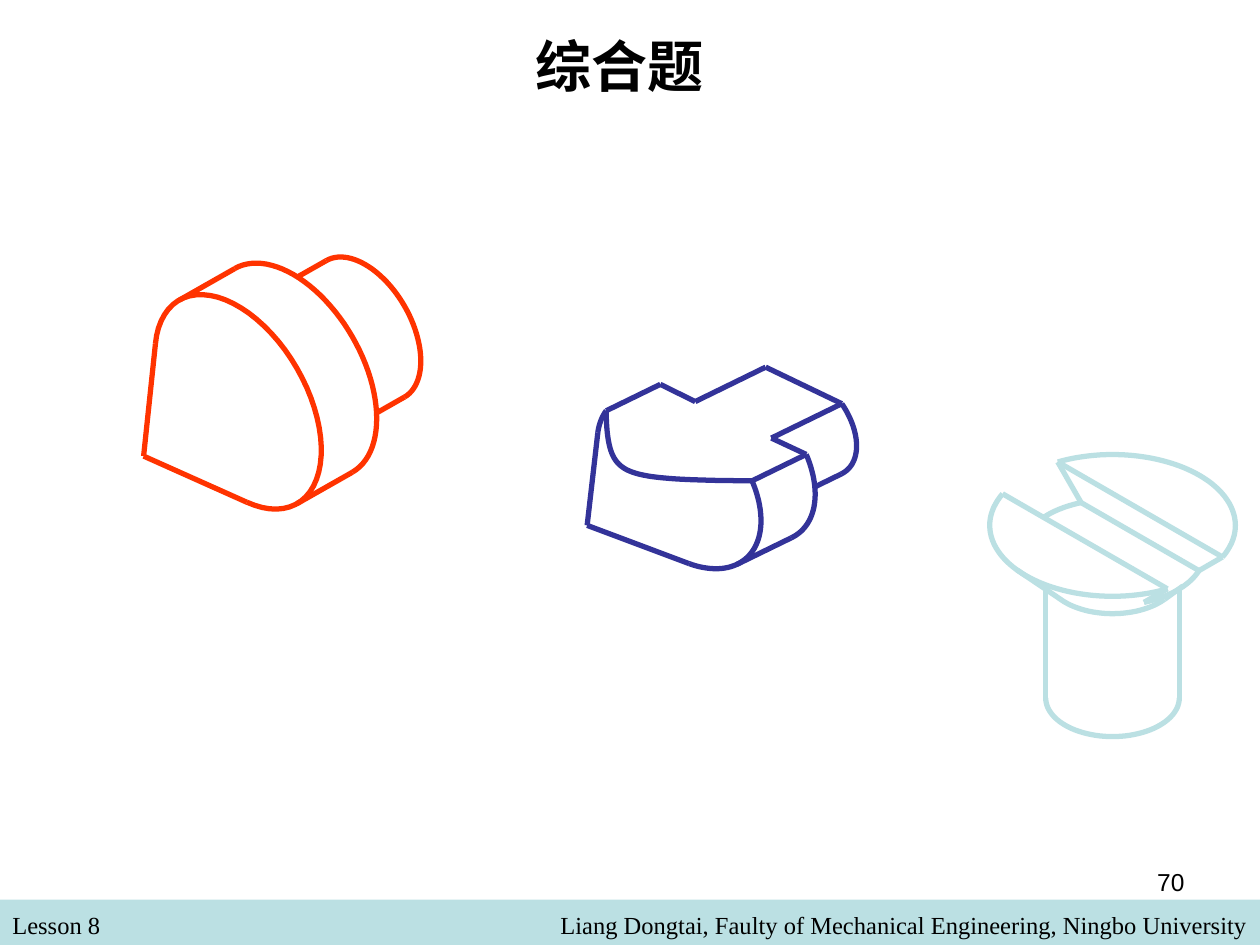
from dataclasses import dataclass
from itertools import pairwise
from math import cos, radians, sin

from pptx import Presentation
from pptx.dml.color import RGBColor
from pptx.enum.shapes import MSO_CONNECTOR, MSO_SHAPE
from pptx.enum.text import MSO_ANCHOR, MSO_AUTO_SIZE, PP_ALIGN
from pptx.oxml.ns import qn
from pptx.util import Inches, Pt

BLACK, TEAL, RED, NAVY = "000000", "BBE0E3", "FF3300", "333399"
SERIF = "Times New Roman"
STEPS = 48                   # segments in each curve
TANGENT = 45                 # angle where a cylinder's side edge touches its rim
OPPOSITE = TANGENT - 180


@dataclass(frozen=True)
class Point:
    x: float
    y: float

    def __add__(self, other: "Point") -> "Point":
        return Point(self.x + other.x, self.y + other.y)

    def __mul__(self, k: float) -> "Point":
        return Point(self.x * k, self.y * k)


@dataclass(frozen=True)
class Rim:
    """A circle seen obliquely: u and v are its projected radii, in inches."""
    center: Point
    u: Point
    v: Point

    def at(self, angle: float) -> Point:
        t = radians(angle)
        return self.center + self.u * cos(t) + self.v * sin(t)

    def arc(self, start: float, end: float) -> list[Point]:
        return [self.at(start + (end - start) * i / STEPS) for i in range(STEPS + 1)]


def upright_rim(center: Point, width: float, height: float, slope: float) -> Rim:
    return Rim(center, Point(width, width * slope), Point(0, height))


def flat_rim(center: Point, radius: float) -> Rim:
    """A level isometric circle, whose height is tan 30° of its width."""
    return Rim(center, Point(radius, 0), Point(0, radius * 0.577))


def conic(start: Point, control: Point, end: Point, weight: float) -> list[Point]:
    """Rational quadratic curve; a weight above 1 gives a hyperbola."""
    points = []
    for i in range(STEPS + 1):
        t = i / STEPS
        a, b, c = (1 - t) ** 2, 2 * weight * t * (1 - t), t ** 2
        points.append((start * a + control * b + end * c) * (1 / (a + b + c)))
    return points


def rgb(color: str) -> RGBColor:
    return RGBColor.from_string(color)


def write(sp, text: str, *, size: float = 14, font: str = "Arial", color: str = BLACK,
          bold: bool = False, align=PP_ALIGN.LEFT, anchor=MSO_ANCHOR.TOP) -> None:
    tf = sp.text_frame
    tf.word_wrap = True
    tf.auto_size = MSO_AUTO_SIZE.NONE
    tf.vertical_anchor = anchor
    p = tf.paragraphs[0]
    p.alignment = align
    r = p.add_run()
    r.text = text
    r.font.size, r.font.name, r.font.bold = Pt(size), font, bold
    r.font.color.rgb = rgb(color)


def add_text(s, box: tuple[float, float, float, float], text: str, **fmt) -> None:
    write(s.shapes.add_textbox(*map(Inches, box)), text, **fmt)


def style_line(sp, color: str) -> None:
    sp.line.color.rgb = rgb(color)
    sp.line.width = Pt(3)


def draw_curve(s, points: list[Point], color: str) -> None:
    start, *rest = [(Inches(p.x), Inches(p.y)) for p in points]
    builder = s.shapes.build_freeform(*start)
    builder.add_line_segments(rest, close=False)
    sp = builder.convert_to_shape()
    sp.shadow.inherit = False
    sp.fill.background()
    style_line(sp, color)


def draw_edges(s, color: str, *corners: Point) -> None:
    """Join the corners in turn with straight connectors."""
    for a, b in pairwise(corners):
        sp = s.shapes.add_connector(MSO_CONNECTOR.STRAIGHT, *map(Inches, (a.x, a.y, b.x, b.y)))
        style_line(sp, color)
        sp._element.spPr.append(sp._element.makeelement(qn("a:effectLst"), {}))


def draw_stepped_cylinder(s) -> None:
    """A pointed cylinder with a thinner one behind it."""
    depth, tip = Point(0.44, -0.25), Point(1.14, 3.62)
    tip_right, tip_left = 84, -174   # where the lines from the tip meet the rim
    slope, width, height = 0.58, 0.66, 0.76
    center = Point(1.89, 3.19)
    front = upright_rim(center, width, height, slope)
    middle = upright_rim(center + depth, width, height, slope)
    back = upright_rim(Point(2.9, 2.61), 0.44, 0.51, slope)

    draw_curve(s, front.arc(tip_right, tip_left), RED)
    for rim in (middle, back):
        draw_curve(s, rim.arc(TANGENT, OPPOSITE), RED)
    for angle in (TANGENT, OPPOSITE):
        draw_edges(s, RED, front.at(angle), middle.at(angle))
        draw_edges(s, RED, back.at(angle), back.at(angle) + depth * -0.5)
    draw_edges(s, RED, front.at(tip_left), tip, front.at(tip_right))


def draw_cut_cylinder(s) -> None:
    """The same kind of solid with its top sliced off flat."""
    depth, tip = Point(0.43, -0.21), Point(4.66, 4.17)
    tip_right, tip_left = 83, -173
    cut, back_cut = -27, -44         # where the flat top meets each rim
    slope, width, height = 0.48, 0.65, 0.62
    center = Point(5.39, 3.82)
    front = upright_rim(center, width, height, slope)
    middle = upright_rim(center + depth, width, height, slope)
    back = upright_rim(center + depth * 2.3, 0.42, 0.4, slope)
    left, right = front.at(-180 - cut), front.at(cut)
    back_left, back_right = back.at(-180 - back_cut), back.at(back_cut)
    to_step = depth * -1.3

    draw_curve(s, front.arc(tip_right, cut), NAVY)
    draw_curve(s, front.arc(tip_left, -180 - cut), NAVY)
    draw_curve(s, middle.arc(TANGENT, cut), NAVY)
    draw_curve(s, back.arc(TANGENT, back_cut), NAVY)
    draw_curve(s, conic(left, Point(4.82, 3.81), right, weight=2.5), NAVY)
    draw_edges(s, NAVY, left, middle.at(-180 - cut), back_left + to_step, back_left,
               back_right, back_right + to_step, middle.at(cut), right)
    draw_edges(s, NAVY, front.at(TANGENT), middle.at(TANGENT))
    draw_edges(s, NAVY, back.at(TANGENT), back.at(TANGENT) + depth * -0.5)
    draw_edges(s, NAVY, front.at(tip_left), tip, front.at(tip_right))


def draw_slotted_screw(s) -> None:
    """A countersunk head with a slot, on a round shaft."""
    axis, shaft_radius, shaft_top = 8.83, 0.53, 4.67
    head = flat_rim(Point(axis, 4.17), 0.975)
    slot_floor = flat_rim(Point(axis, 4.385), 0.73)
    neck = flat_rim(Point(axis, 4.565), shaft_radius)
    shaft_end = flat_rim(Point(axis, 5.54), shaft_radius)
    top_half, floor_half = 18.5, 25  # half-angles of the slot mouth on each rim
    top_near, top_far = TANGENT + top_half, TANGENT - top_half
    floor_near, floor_far = TANGENT + floor_half, TANGENT - floor_half
    top_back, floor_back = OPPOSITE + top_half, OPPOSITE + floor_half
    cone_right, cone_left = 39, 141

    for rim, start, end in (
        (head, top_far, top_back),
        (head, top_near, 360 + OPPOSITE - top_half),
        (slot_floor, floor_near, floor_far),
        (slot_floor, floor_back, -138),
        (neck, cone_right, cone_left),
        (shaft_end, 0, 180),
    ):
        draw_curve(s, rim.arc(start, end), TEAL)

    draw_edges(s, TEAL, head.at(OPPOSITE - top_half), head.at(top_near), slot_floor.at(floor_near))
    draw_edges(s, TEAL, head.at(top_back), head.at(top_far), slot_floor.at(floor_far),
               slot_floor.at(floor_back), head.at(top_back))
    draw_edges(s, TEAL, head.at(cone_left), neck.at(cone_left))
    draw_edges(s, TEAL, neck.at(cone_right), Point(9.39, 4.65))
    for side in (0, 180):
        corner = shaft_end.at(side)
        draw_edges(s, TEAL, Point(corner.x, shaft_top), corner)


def add_footer(s) -> None:
    bar = s.shapes.add_shape(MSO_SHAPE.RECTANGLE, *map(Inches, (0, 7.14, 10, 0.36)))
    bar.shadow.inherit = False
    bar.fill.solid()
    bar.fill.fore_color.rgb = rgb(TEAL)
    bar.line.fill.background()
    add_text(s, (0, 7.17, 4.83, 0.34), "Lesson 8", font=SERIF)
    add_text(s, (1.83, 7.17, 8.17, 0.34), font=SERIF, align=PP_ALIGN.RIGHT,
             text="Liang Dongtai, Faulty of Mechanical Engineering, Ningbo University")


def main() -> None:
    prs = Presentation()
    prs.slide_width, prs.slide_height = Inches(10), Inches(7.5)
    s = prs.slides.add_slide(prs.slide_layouts[5])
    add_footer(s)
    title = s.shapes.title
    title.left, title.top, title.width, title.height = map(Inches, (0.67, 0.08, 8.5, 0.87))
    write(title, "综合题", size=32, bold=True, align=PP_ALIGN.CENTER, anchor=MSO_ANCHOR.MIDDLE)
    for draw in (draw_stepped_cylinder, draw_cut_cylinder, draw_slotted_screw):
        draw(s)
    add_text(s, (7.17, 6.83, 2.33, 0.52), "70", align=PP_ALIGN.RIGHT)
    prs.save("out.pptx")


if __name__ == "__main__":
    main()
